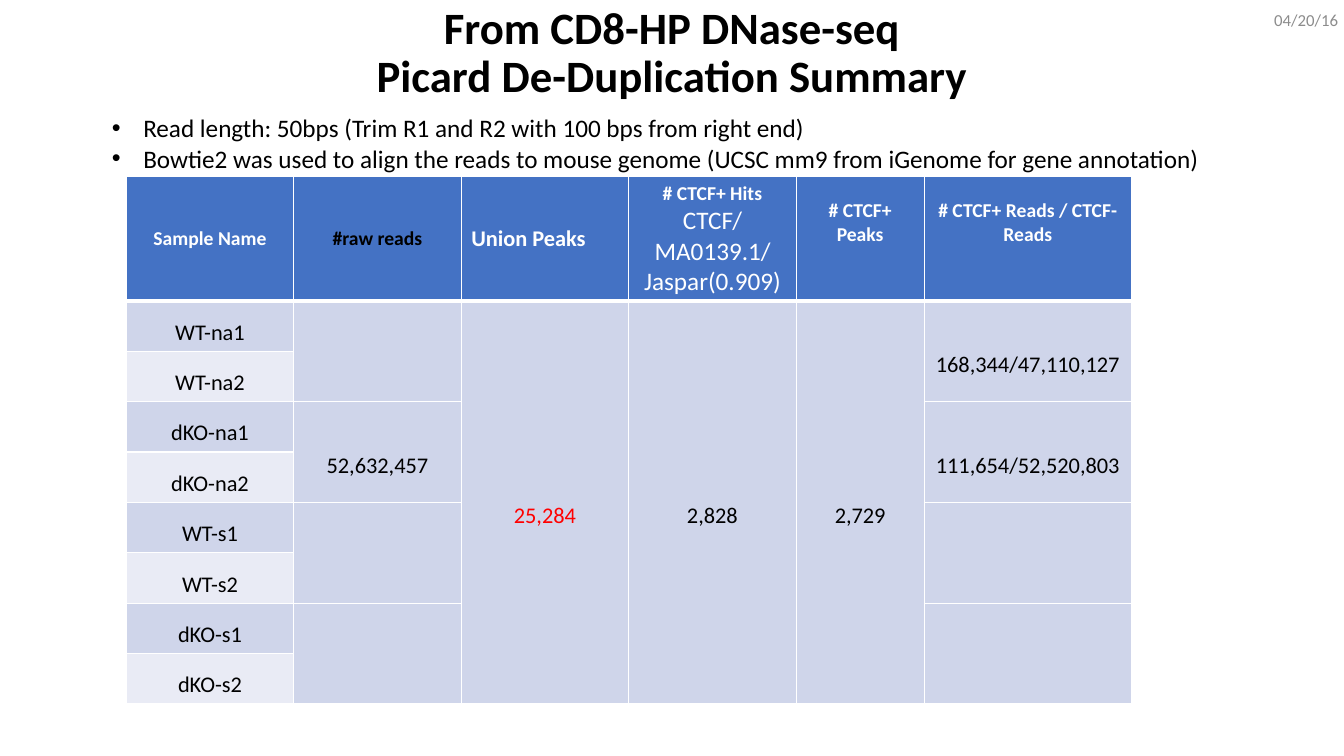
import pptx
import pptx.util
import pptx.dml.color
import pptx.enum.text
import pptx.oxml
import pptx.oxml.ns
from lxml import etree

Pt = pptx.util.Pt
ALIGN = pptx.enum.text.PP_ALIGN
ANCHOR = pptx.enum.text.MSO_ANCHOR

COLORS = {
    "black": "000000", "white": "FFFFFF", "grey": "8C8C8C", "red": "FF0000",
    "header": "4472C4", "band": "CFD5EA", "light": "E9EBF5",
}
SAMPLES = ["WT-na1", "WT-na2", "dKO-na1", "dKO-na2", "WT-s1", "WT-s2", "dKO-s1", "dKO-s2"]
HEADERS = ["Sample Name", "#raw reads", "Union Peaks", "# CTCF+ Hits",
           "# CTCF+ Peaks", "# CTCF+ Reads / CTCF- Reads"]
TOTALS = {2: "25,284", 3: "2,828", 4: "2,729"}
PAIRS = {1: ["", "52,632,457", "", ""],
         5: ["168,344/47,110,127", "111,654/52,520,803", "", ""]}
COL_WIDTHS = [119.64, 119.64, 119.64, 119.64, 91.5, 148]
HEADER_HEIGHT, ROW_HEIGHT = 66.24, 36


def rgb(name):
    return pptx.dml.color.RGBColor.from_string(COLORS[name])


def set_attrs(obj, values):
    for name, value in values.items():
        setattr(obj, name, value)


def write(p, text, size, color="black", bold=False, **para):
    set_attrs(p, para)
    p.text = text
    for r in p.runs:
        set_attrs(r.font, {"name": "Calibri", "size": Pt(size), "bold": bold})
        r.font.color.rgb = rgb(color)


def add_title(s, box):
    sp = s.shapes.title
    set_attrs(sp, dict(zip(("left", "top", "width", "height"), map(Pt, box))))
    tf = sp.text_frame
    set_attrs(tf, {"word_wrap": True, "vertical_anchor": ANCHOR.MIDDLE,
                   "auto_size": pptx.enum.text.MSO_AUTO_SIZE.NONE})
    write(tf.paragraphs[0], "From CD8-HP DNase-seq\vPicard De-Duplication Summary",
          32, bold=True, alignment=ALIGN.CENTER, line_spacing=0.9)


def add_date(s, box):
    tf = s.shapes.add_textbox(*map(Pt, box)).text_frame
    set_attrs(tf, {"word_wrap": True, "vertical_anchor": ANCHOR.MIDDLE})
    write(tf.paragraphs[0], "04/20/16", 12, "grey")


def add_bullet(p, indent):
    pPr = p._p.get_or_add_pPr()
    pPr.set("marL", str(Pt(indent)))
    pPr.set("indent", str(-Pt(indent)))
    etree.SubElement(pPr, pptx.oxml.ns.qn("a:buFont")).set("typeface", "Arial")
    etree.SubElement(pPr, pptx.oxml.ns.qn("a:buChar")).set("char", "•")


def add_notes_on_method(s, box):
    tf = s.shapes.add_textbox(*map(Pt, box)).text_frame
    tf.word_wrap = True
    lines = ["Read length: 50bps (Trim R1 and R2 with 100 bps from right end)",
             "Bowtie2 was used to align the reads to mouse genome "
             "(UCSC mm9 from iGenome for gene annotation)"]
    for i, line in enumerate(lines):
        p = tf.add_paragraph() if i else tf.paragraphs[0]
        add_bullet(p, 22.5)
        write(p, line, 18)


def style_cell(cell, fill, row):
    cell.fill.solid()
    cell.fill.fore_color.rgb = rgb(fill)
    widths = {"lnL": 1, "lnR": 1, "lnT": 3 if row == 1 else 1, "lnB": 3 if row == 0 else 1}
    tcPr = cell._tc.get_or_add_tcPr()
    for i, (tag, width) in enumerate(widths.items()):
        tcPr.insert(i, pptx.oxml.parse_xml(
            f'<a:{tag} {pptx.oxml.ns.nsdecls("a")} w="{Pt(width)}"><a:solidFill>'
            f'<a:srgbClr val="{COLORS["white"]}"/></a:solidFill></a:{tag}>'))


def fill_header(table):
    for col, text in enumerate(HEADERS):
        cell = table.cell(0, col)
        cell.vertical_anchor = ANCHOR.MIDDLE
        union = text == "Union Peaks"
        write(cell.text_frame.paragraphs[0], text, 16 if union else 14,
              "black" if text == "#raw reads" else "white", True,
              alignment=ALIGN.LEFT if union else ALIGN.CENTER)
        if col >= 4:
            cell.margin_bottom = Pt(25.6)
    write(table.cell(0, 3).text_frame.add_paragraph(), "CTCF/MA0139.1/Jaspar(0.909)",
          18, "white", alignment=ALIGN.CENTER)


def fill_span(table, row, col, count, text, color="black"):
    cell = table.cell(row, col)
    cell.merge(table.cell(row + count - 1, col))
    cell.vertical_anchor = ANCHOR.MIDDLE
    if text:
        write(cell.text_frame.paragraphs[0], text, 16, color,
              alignment=ALIGN.CENTER, line_spacing=2.0)


def add_summary_table(s, box):
    gf = s.shapes.add_table(len(SAMPLES) + 1, len(HEADERS), *map(Pt, box))
    table = gf.table
    for column, width in zip(table.columns, COL_WIDTHS):
        column.width = Pt(width)
    for i, row in enumerate(table.rows):
        row.height = Pt(ROW_HEIGHT if i else HEADER_HEIGHT)
        for col, cell in enumerate(row.cells):
            light = col == 0 and i % 2 == 0
            style_cell(cell, "header" if i == 0 else "light" if light else "band", i)
    gf.height = Pt(box[3])
    fill_header(table)
    for i, name in enumerate(SAMPLES, 1):
        cell = table.cell(i, 0)
        cell.vertical_anchor = ANCHOR.BOTTOM
        write(cell.text_frame.paragraphs[0], name, 16, alignment=ALIGN.CENTER)
    for col, total in TOTALS.items():
        fill_span(table, 1, col, len(SAMPLES), total, "red" if col == 2 else "black")
    for col, values in PAIRS.items():
        for i, value in enumerate(values):
            fill_span(table, 1 + 2 * i, col, 2, value)


def main():
    prs = pptx.Presentation()
    set_attrs(prs, {"slide_width": Pt(960), "slide_height": Pt(540)})
    s = prs.slides.add_slide(prs.slide_layouts[5])
    add_title(s, (66, 0, 828, 77))
    add_date(s, (903, 0, 216, 28.75))
    add_summary_table(s, (90.2, 126, 718, 376.6))
    add_notes_on_method(s, (72.75, 77, 829.5, 51))
    prs.save("out.pptx")


if __name__ == "__main__":
    main()
